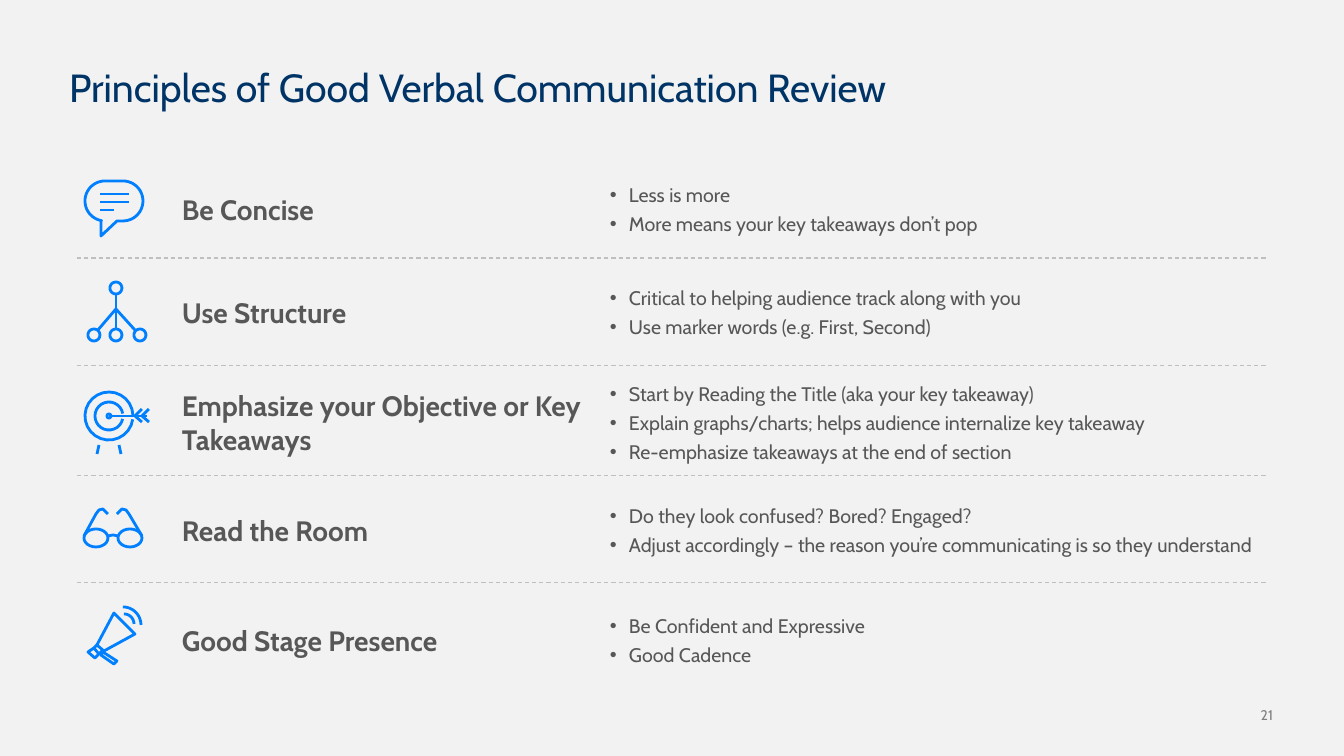
"""Build a slide reviewing five principles of good verbal communication."""
import math

import lxml.etree
import pptx
import pptx.dml.color
import pptx.enum.dml
import pptx.enum.shapes
import pptx.enum.text
import pptx.oxml.ns
import pptx.util

PX = 12192000 / 1344
FONT = "Cabin"
NAVY = pptx.dml.color.RGBColor(0x00, 0x34, 0x66)
BLUE = pptx.dml.color.RGBColor(0x00, 0x7F, 0xFE)
DARK = pptx.dml.color.RGBColor(0x57, 0x57, 0x57)
GRAY = pptx.dml.color.RGBColor(0x80, 0x80, 0x80)
RULE = pptx.dml.color.RGBColor(0xBF, 0xBF, 0xBF)
PALE = pptx.dml.color.RGBColor(0xF2, 0xF2, 0xF2)
MIDDLE = pptx.enum.text.MSO_ANCHOR.MIDDLE
pt = pptx.util.Pt
qn = pptx.oxml.ns.qn


def arc(x, y, rx, ry, start=0, end=360):
    """Return points along an elliptical arc, with angles in degrees."""
    turns = [math.radians(start + (end - start) * i / 24) for i in range(25)]
    return [(x + rx * math.cos(t), y + ry * math.sin(t)) for t in turns]


def ink(shape, color, width):
    """Set the line of a shape and drop its shadow."""
    shape.line.color.rgb = color
    shape.line.width = pt(width)
    lxml.etree.SubElement(shape._element.spPr, qn("a:effectLst"))


deck = pptx.Presentation()
deck.slide_width = round(1344 * PX)
deck.slide_height = round(756 * PX)
slide = deck.slides.add_slide(deck.slide_layouts[5])
slide.background.fill.solid()
slide.background.fill.fore_color.rgb = PALE
shapes = slide.shapes

title = shapes.title
title.left, title.top, title.width, title.height = [round(n * PX) for n in (69, 69, 1206, 42)]
frame = title.text_frame
frame.margin_left = frame.margin_right = frame.margin_top = frame.margin_bottom = 0
frame.auto_size = pptx.enum.text.MSO_AUTO_SIZE.NONE
frame.vertical_anchor = MIDDLE
para = frame.paragraphs[0]
para.alignment = pptx.enum.text.PP_ALIGN.LEFT
para.line_spacing = 0.9
run = para.add_run()
run.text = "Principles of Good Verbal Communication Review"
run.font.name, run.font.size = FONT, pt(28)
run.font.color.rgb = NAVY

for y in (258, 366, 476, 583):
    rule = shapes.add_connector(
        pptx.enum.shapes.MSO_CONNECTOR.STRAIGHT,
        *[round(n * PX) for n in (77, y, 1266, y)])
    ink(rule, RULE, 0.75)
    rule.line.dash_style = pptx.enum.dml.MSO_LINE.DASH

bubble = [arc(123, 201, 20, 20, -90, 90) + [(117, 221), (101, 236), (101, 221)]
          + arc(105, 201, 20, 20, 100, 270) + [(123, 181)]]
tree = [arc(x, y, 6, 6) for x, y in ((116, 288), (94, 335), (116, 335), (140, 335))]
tree += [[(98, 330), (116, 309), (135, 330)], [(116, 295), (116, 328)]]
target = [
    arc(109, 416, 24, 24, 8, 358),
    arc(109, 416, 14, 14, 12, 350),
    arc(109, 416, 2, 2),
    [(109, 416), (147, 416)],
    [(142, 409), (135, 416), (142, 422)],
    [(149, 409), (142, 416), (149, 422)],
]
specs = [
    arc(96, 538, 12, 9),
    arc(130, 538, 12, 9),
    [(84, 536), (96, 514), (99, 510), (103, 509), (108, 514)],
    [(142, 536), (129, 514), (126, 510), (122, 509), (117, 514)],
    [(108, 536), (113, 535), (118, 536)],
]
horn = [
    [(114, 613), (135, 634), (104, 651), (97, 645), (114, 613)],
    [(88, 652), (94, 648), (99, 654), (95, 658), (88, 652)],
    [(101, 655), (103, 652), (117, 661), (114, 664), (101, 655)],
    [(94, 648), (97, 645)],
    [(99, 654), (103, 650)],
]
waves = [[arc(123, 625, 18, 18, -90, 0)], [arc(124, 624, 10, 10, -90, 0)]]
for icon in [bubble, tree, target, specs, horn] + waves:
    spots = [[(x * PX, y * PX) for x, y in trail] for trail in icon]
    pen = shapes.build_freeform(*spots[0][0], scale=1.0)
    for i, trail in enumerate(spots):
        if i:
            pen.move_to(*trail[0])
        pen.add_line_segments(trail[1:], close=False)
    sketch = pen.convert_to_shape()
    sketch.fill.background()
    ink(sketch, BLUE, 2)

strokes = [
    (100, 194, 129, 194), (100, 202, 129, 202), (100, 210, 114, 210),
    (99, 445, 97, 454), (119, 445, 121, 454),
]
for ends in strokes:
    stroke = shapes.add_connector(
        pptx.enum.shapes.MSO_CONNECTOR.STRAIGHT, *[round(n * PX) for n in ends])
    ink(stroke, BLUE, 2)

rows = [
    (170, "Be Concise",
     ["Less is more", "More means your key takeaways don’t pop"]),
    (273, "Use Structure",
     ["Critical to helping audience track along with you",
      "Use marker words (e.g. First, Second)"]),
    (383, "Emphasize your Objective or Key Takeaways",
     ["Start by Reading the Title (aka your key takeaway)",
      "Explain graphs/charts; helps audience internalize key takeaway",
      "Re-emphasize takeaways at the end of section"]),
    (491, "Read the Room",
     ["Do they look confused? Bored? Engaged?",
      "Adjust accordingly – the reason you’re communicating is so they understand"]),
    (601, "Good Stage Presence",
     ["Be Confident and Expressive", "Good Cadence"]),
]
for top, head, points in rows:
    for left, width, lines, size in ((172, 427, [head], 20), (600, 700, points, 14)):
        box = shapes.add_textbox(*[round(n * PX) for n in (left, top, width, 79)])
        frame = box.text_frame
        frame.word_wrap = True
        frame.vertical_anchor = MIDDLE
        for i, line in enumerate(lines):
            para = frame.add_paragraph() if i else frame.paragraphs[0]
            if lines is points:
                props = para._p.get_or_add_pPr()
                props.set("marL", str(round(19 * PX)))
                props.set("indent", str(round(-19 * PX)))
                lxml.etree.SubElement(props, qn("a:buFont")).set("typeface", "Arial")
                lxml.etree.SubElement(props, qn("a:buChar")).set("char", "•")
                para.space_after = pt(4)
            run = para.add_run()
            run.text = line
            run.font.name, run.font.size = FONT, pt(size)
            run.font.bold = lines is not points
            run.font.color.rgb = DARK

box = shapes.add_textbox(*[round(n * PX) for n in (1231, 706, 42, 17)])
frame = box.text_frame
frame.margin_left = frame.margin_right = frame.margin_top = frame.margin_bottom = 0
frame.word_wrap = True
frame.vertical_anchor = pptx.enum.text.MSO_ANCHOR.BOTTOM
para = frame.paragraphs[0]
para.alignment = pptx.enum.text.PP_ALIGN.RIGHT
run = para.add_run()
run.text = "21"
run.font.name, run.font.size = FONT, pt(10)
run.font.color.rgb = GRAY

deck.save("out.pptx")
